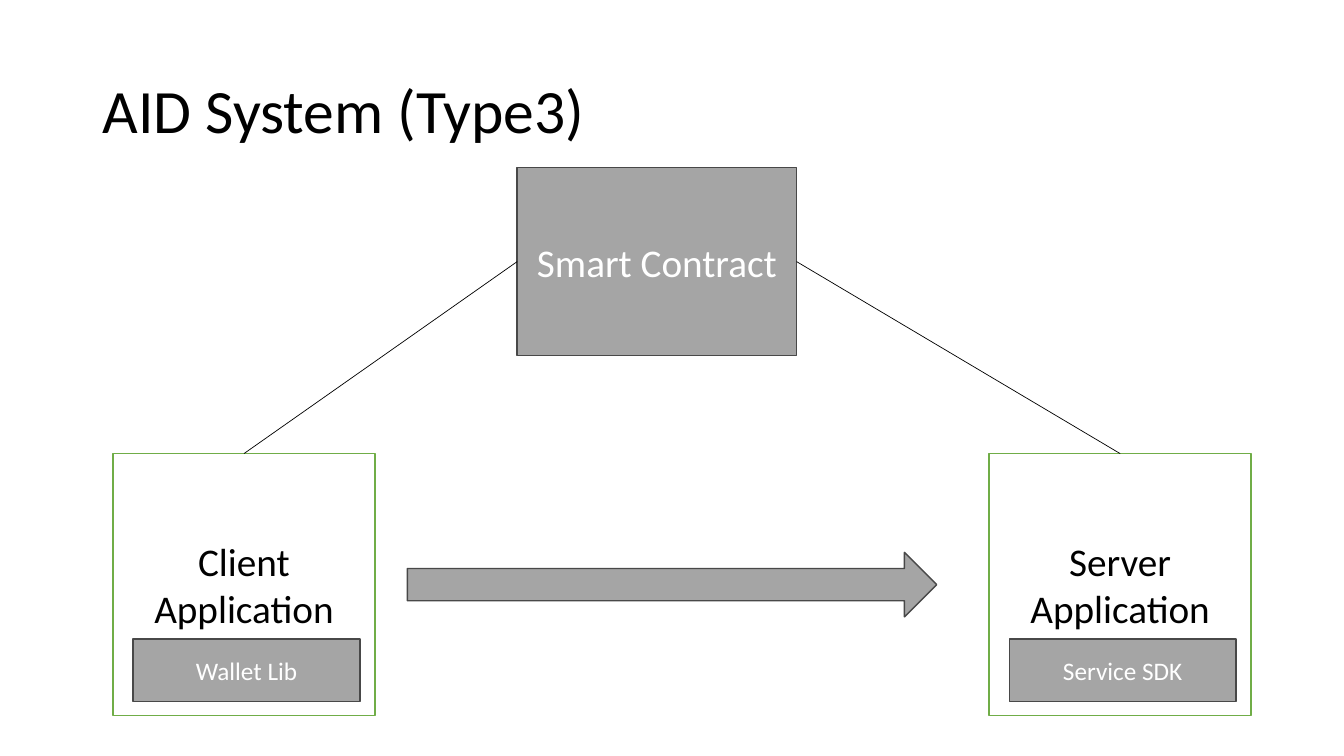
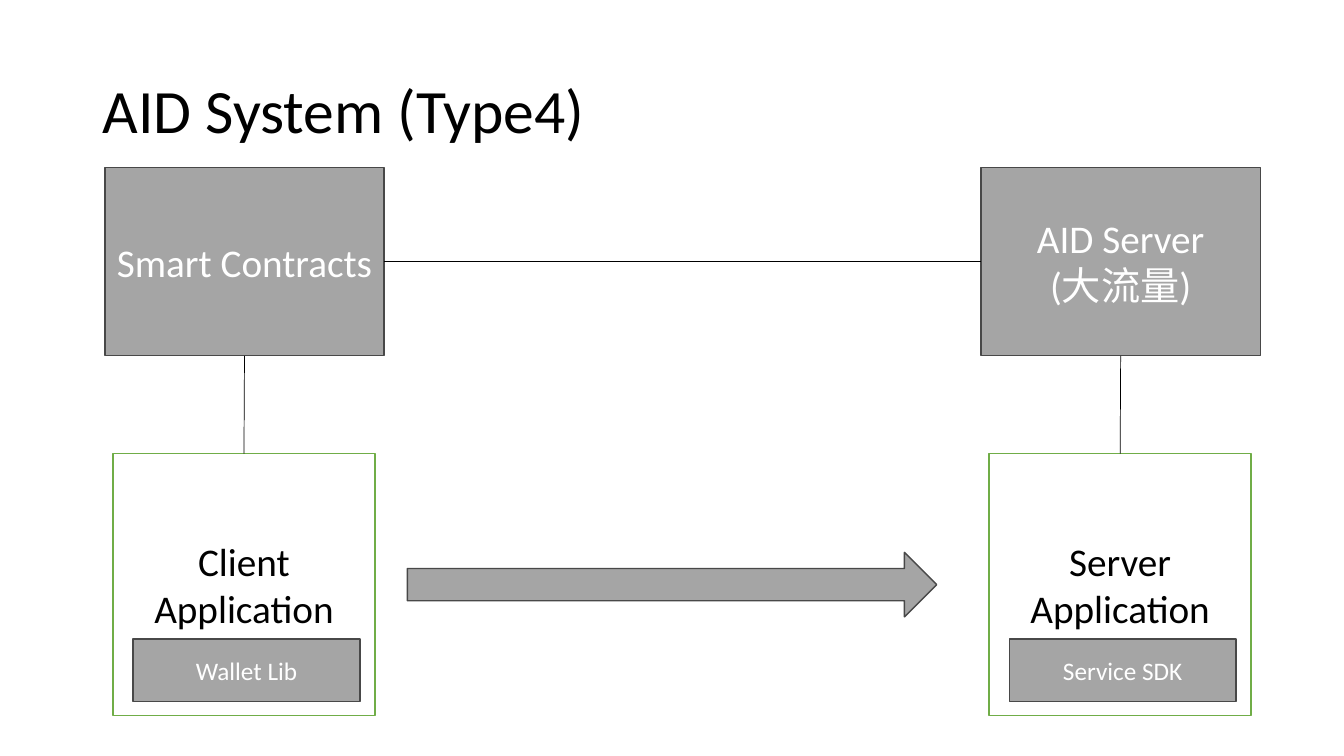
"""Build two diagrams of the AID system, types 3 and 4."""
from dataclasses import dataclass, replace

from lxml.etree import SubElement
from pptx import Presentation
from pptx.dml.color import RGBColor
from pptx.enum.shapes import MSO_CONNECTOR as Connector, MSO_SHAPE as Preset
from pptx.enum.text import MSO_ANCHOR as Anchor, PP_ALIGN as Align
from pptx.oxml.ns import qn
from pptx.shapes.autoshape import Shape
from pptx.slide import Slide
from pptx.util import Emu, Pt

PX = 9144
FONT = "Calibri"
BLACK, WHITE, GREEN = "000000", "FFFFFF", "70AD47"
GREY, DARK_GREY = "A5A5A5", "484848"
TOP, LEFT, BOTTOM, RIGHT = range(4)


@dataclass(frozen=True)
class Block:
    left: int
    top: int
    width: int
    height: int
    label: str = ""
    size: int = 28
    ink: str = WHITE
    fill: str = GREY
    outline: str = DARK_GREY
    preset: Preset = Preset.RECTANGLE


@dataclass(frozen=True)
class Link:
    start: str
    start_side: int
    end: str
    end_side: int


@dataclass(frozen=True)
class Diagram:
    title: str
    services: dict[str, Block]
    links: list[Link]


CLIENT = Block(112, 450, 260, 260, "Client Application",
               ink=BLACK, fill=WHITE, outline=GREEN)
WALLET = Block(132, 634, 225, 62, "Wallet Lib", size=18)
COLUMN_STEP = 869
REQUEST = Block(404, 548, 525, 64, preset=Preset.RIGHT_ARROW)
APPLICATIONS = {
    "request": REQUEST,
    "client": CLIENT,
    "wallet": WALLET,
    "server": replace(CLIENT, left=CLIENT.left + COLUMN_STEP,
                      label="Server Application"),
    "sdk": replace(WALLET, left=WALLET.left + COLUMN_STEP,
                   label="Service SDK"),
}
CONTRACTS = Block(104, 166, 277, 187, "Smart Contracts")

DIAGRAMS = [
    Diagram(
        "AID System (Type3)",
        {"contract": replace(CONTRACTS, left=513, label="Smart Contract")},
        [Link("client", TOP, "contract", LEFT),
         Link("contract", RIGHT, "server", TOP)],
    ),
    Diagram(
        "AID System (Type4)",
        {"contract": CONTRACTS,
         "aid": replace(CONTRACTS, left=CONTRACTS.left + COLUMN_STEP,
                        label="AID Server\n(大流量)")},
        [Link("client", TOP, "contract", BOTTOM),
         Link("contract", RIGHT, "aid", LEFT),
         Link("server", TOP, "aid", BOTTOM)],
    ),
]


def px(length: int) -> Emu:
    return Emu(length * PX)


def color(value: str) -> RGBColor:
    return RGBColor.from_string(value)


def write(shape: Shape, text: str, size: int, ink: str,
          align: Align, spacing: float = 1.0) -> None:
    frame = shape.text_frame
    frame.text = text
    frame.word_wrap = True
    frame.vertical_anchor = Anchor.MIDDLE
    for paragraph in frame.paragraphs:
        paragraph.alignment = align
        paragraph.line_spacing = spacing
        for run in paragraph.runs:
            run.font.name = FONT
            run.font.size = Pt(size)
            run.font.color.rgb = color(ink)


def draw_title(slide: Slide, text: str) -> None:
    title = slide.shapes.add_textbox(px(92), px(40), px(1150), px(145))
    write(title, text, 44, BLACK, Align.LEFT, 0.9)


def draw_block(slide: Slide, block: Block) -> Shape:
    shape = slide.shapes.add_shape(
        block.preset, px(block.left), px(block.top),
        px(block.width), px(block.height))
    shape.shadow.inherit = False
    shape.fill.solid()
    shape.fill.fore_color.rgb = color(block.fill)
    shape.line.color.rgb = color(block.outline)
    shape.line.width = Pt(1)
    if block.label:
        write(shape, block.label, block.size, block.ink, Align.CENTER)
    return shape


def draw_link(slide: Slide, link: Link, shapes: dict[str, Shape]) -> None:
    line = slide.shapes.add_connector(Connector.STRAIGHT, 0, 0, 0, 0)
    line.begin_connect(shapes[link.start], link.start_side)
    line.end_connect(shapes[link.end], link.end_side)
    line.line.color.rgb = color(BLACK)
    line.line.width = Pt(0.5)
    SubElement(line.element.spPr, qn("a:effectLst"))


def main() -> None:
    deck = Presentation()
    deck.slide_width, deck.slide_height = px(1333), px(750)
    blank = deck.slide_layouts[6]
    for diagram in DIAGRAMS:
        slide = deck.slides.add_slide(blank)
        draw_title(slide, diagram.title)
        blocks = APPLICATIONS | diagram.services
        shapes = {key: draw_block(slide, block)
                  for key, block in blocks.items()}
        for link in diagram.links:
            draw_link(slide, link, shapes)
    deck.save("out.pptx")


if __name__ == "__main__":
    main()
